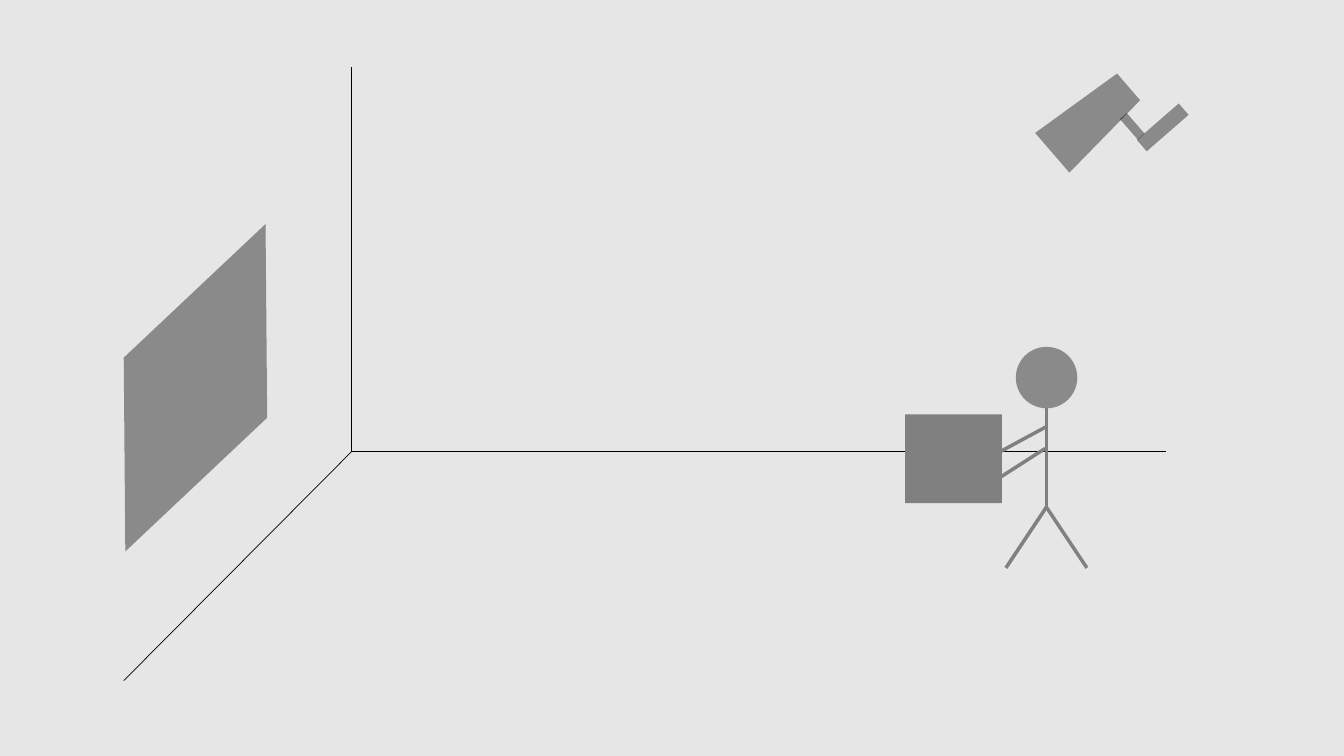
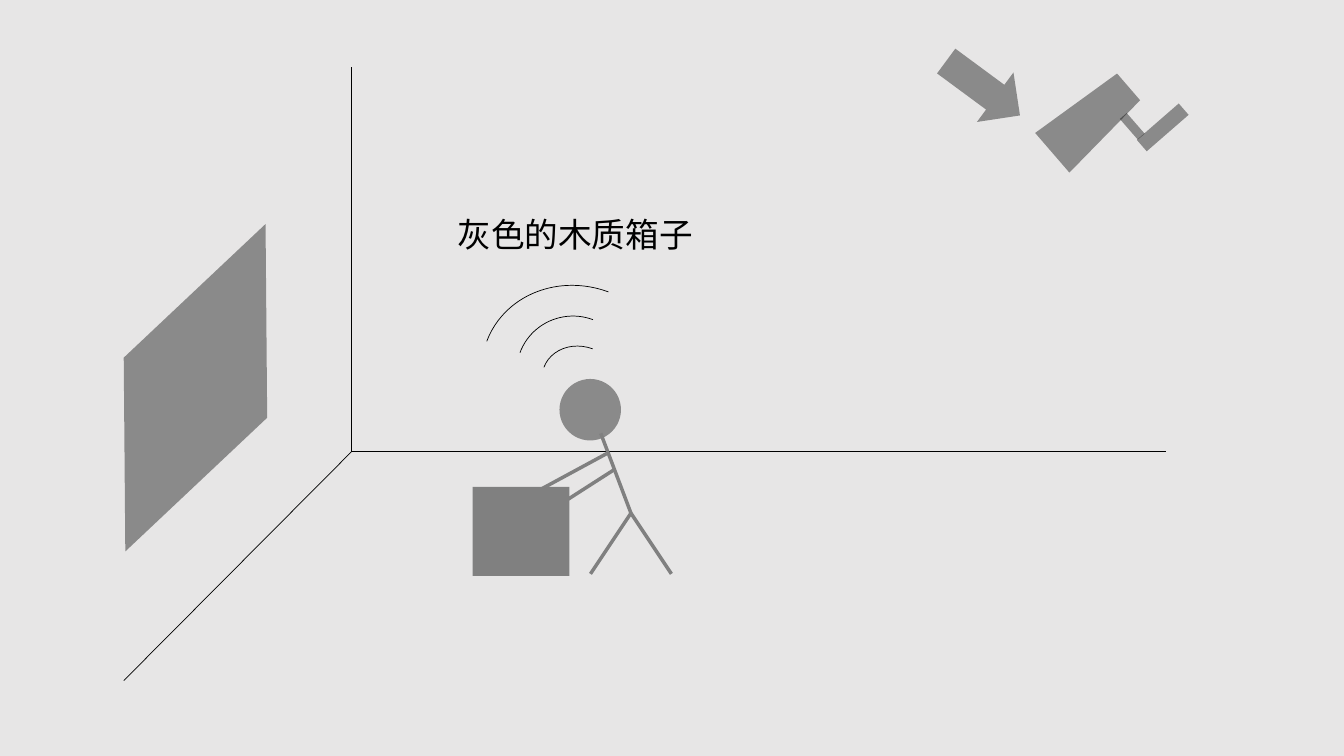
from lxml import etree
from pptx import Presentation
from pptx.dml.color import RGBColor
from pptx.enum.shapes import MSO_CONNECTOR, MSO_SHAPE
from pptx.enum.text import MSO_AUTO_SIZE
from pptx.oxml.ns import qn
from pptx.util import Cm, Pt

BLACK = RGBColor(0x00, 0x00, 0x00)
GRAY = RGBColor(0x80, 0x80, 0x80)
PALE = RGBColor(0xE7, 0xE6, 0xE6)
FONT = "Noto Sans CJK SC"
SHADE = 40  # percent opacity of the black shapes
THIN, THICK = 0.5, 2.5

# All positions and sizes are in centimetres.
CORNER = (8.86, 11.38)
ROOM_ENDS = [(8.86, 1.7), (29.39, 11.38), (3.12, 17.15)]
# kind, (left, top, width, height), rotation, adjustment
FIXTURES = [
    (MSO_SHAPE.TRAPEZOID, (26.82, 1.75, 1.32, 2.54), 49.2, 0.163),
    (MSO_SHAPE.RECTANGLE, (28.6, 3.02, 1.4, 0.38), 139, None),
    (MSO_SHAPE.RECTANGLE, (28.19, 3.07, 0.69, 0.23), 49, None),
    (MSO_SHAPE.PARALLELOGRAM, (0.81, 7.98, 8.23, 3.58), 136.7, 0.927),
]

HEAD_SIZE = 1.55
CRATE_SIZE = (2.44, 2.24)
LEG_STEPS = [(-1.02, 1.53), (1.02, 1.53)]
ARM_STEPS = [(-1.7, 0.92), (-1.31, 0.84)]
STANDING = {"head": (25.6, 8.74), "neck": (26.37, 10.29), "hip": (26.37, 12.78),
            "shoulders": [(26.39, 10.74), (26.34, 11.3)], "crate": (22.81, 10.44)}
LEANING = {"head": (14.1, 9.55), "neck": (15.14, 10.92), "hip": (15.9, 12.93),
           "shoulders": [(15.29, 11.43), (15.47, 11.84)], "crate": (11.91, 12.27)}

ARROW = (23.62, 1.45, 2.31, 1.55)
ARROW_TURN = 36.4
WAVES = [(13.77, 8.61, 1.73, 1.98), (13.03, 7.95, 2.84, 2.87), (12.32, 7.01, 4.47, 4.88)]
WAVE_TURN = 290.4
LABEL = "灰色的木质箱子"
LABEL_BOX = (11.28, 5.26, 7.21, 1.27)


def add_line(shapes, start, end, color=BLACK, width=THIN):
    """Draw a straight line without a shadow."""
    line = shapes.add_connector(MSO_CONNECTOR.STRAIGHT, *map(Cm, start + end))
    line.line.color.rgb = color
    line.line.width = Pt(width)
    etree.SubElement(line._element.spPr, qn("a:effectLst"))


def add_form(shapes, kind, place, turn=0, adjust=None, fill=BLACK, opacity=SHADE):
    """Draw a filled shape without an outline; an opacity below 100 shows through."""
    form = shapes.add_shape(kind, *map(Cm, place))
    form.shadow.inherit = False
    form.rotation = turn
    if adjust is not None:
        form.adjustments[0] = adjust
    form.line.fill.background()
    form.fill.solid()
    form.fill.fore_color.rgb = fill
    if opacity < 100:
        color = form._element.spPr.find(qn("a:solidFill"))[0]
        etree.SubElement(color, qn("a:alpha"), val=str(opacity * 1000))


def add_wave(shapes, place):
    """Draw one thin sound arc."""
    wave = shapes.add_shape(MSO_SHAPE.ARC, *map(Cm, place))
    wave.shadow.inherit = False
    wave.rotation = WAVE_TURN
    wave.fill.background()
    wave.line.color.rgb = BLACK
    wave.line.width = Pt(THIN)


def add_text(shapes, text, place, size=24, color=BLACK):
    """Write one line of text in a wrapping box."""
    box = shapes.add_textbox(*map(Cm, place))
    box.text_frame.word_wrap = True
    box.text_frame.auto_size = MSO_AUTO_SIZE.SHAPE_TO_FIT_TEXT
    span = box.text_frame.paragraphs[0].add_run()
    span.text = text
    span.font.size = Pt(size)
    span.font.name = FONT
    span.font.color.rgb = color
    etree.SubElement(span.font._element, qn("a:ea"), typeface=FONT)


def add_limbs(shapes, starts, steps):
    """Draw limbs, each running from its joint by a fixed step."""
    for (x, y), (across, down) in zip(starts, steps):
        add_line(shapes, (x, y), (x + across, y + down), GRAY, THICK)


def add_person(shapes, pose):
    """Draw a stick figure with the crate it handles."""
    add_form(shapes, MSO_SHAPE.OVAL, pose["head"] + (HEAD_SIZE, HEAD_SIZE))
    add_line(shapes, pose["neck"], pose["hip"], GRAY, THICK)
    add_limbs(shapes, [pose["hip"]] * 2, LEG_STEPS)
    add_limbs(shapes, pose["shoulders"], ARM_STEPS)
    add_form(shapes, MSO_SHAPE.RECTANGLE, pose["crate"] + CRATE_SIZE, fill=GRAY, opacity=100)


def add_scene(deck, pose):
    """Add a page with the room, camera, screen and person."""
    page = deck.slides.add_slide(deck.slide_layouts[6])
    room = page.shapes.add_group_shape()
    for end in ROOM_ENDS:
        add_line(room.shapes, CORNER, end)
    for fixture in FIXTURES:
        add_form(page.shapes, *fixture)
    add_person(page.shapes.add_group_shape().shapes, pose)
    return page


deck = Presentation()
deck.slide_width, deck.slide_height = Cm(33.87), Cm(19.05)
backdrop = deck.slide_master.background.fill
backdrop.solid()
backdrop.fore_color.rgb = PALE

add_scene(deck, STANDING)

speaking = add_scene(deck, LEANING)
add_form(speaking.shapes, MSO_SHAPE.RIGHT_ARROW, ARROW, ARROW_TURN)
waves = speaking.shapes.add_group_shape()
for place in WAVES:
    add_wave(waves.shapes, place)
add_text(speaking.shapes, LABEL, LABEL_BOX)

deck.save("out.pptx")
